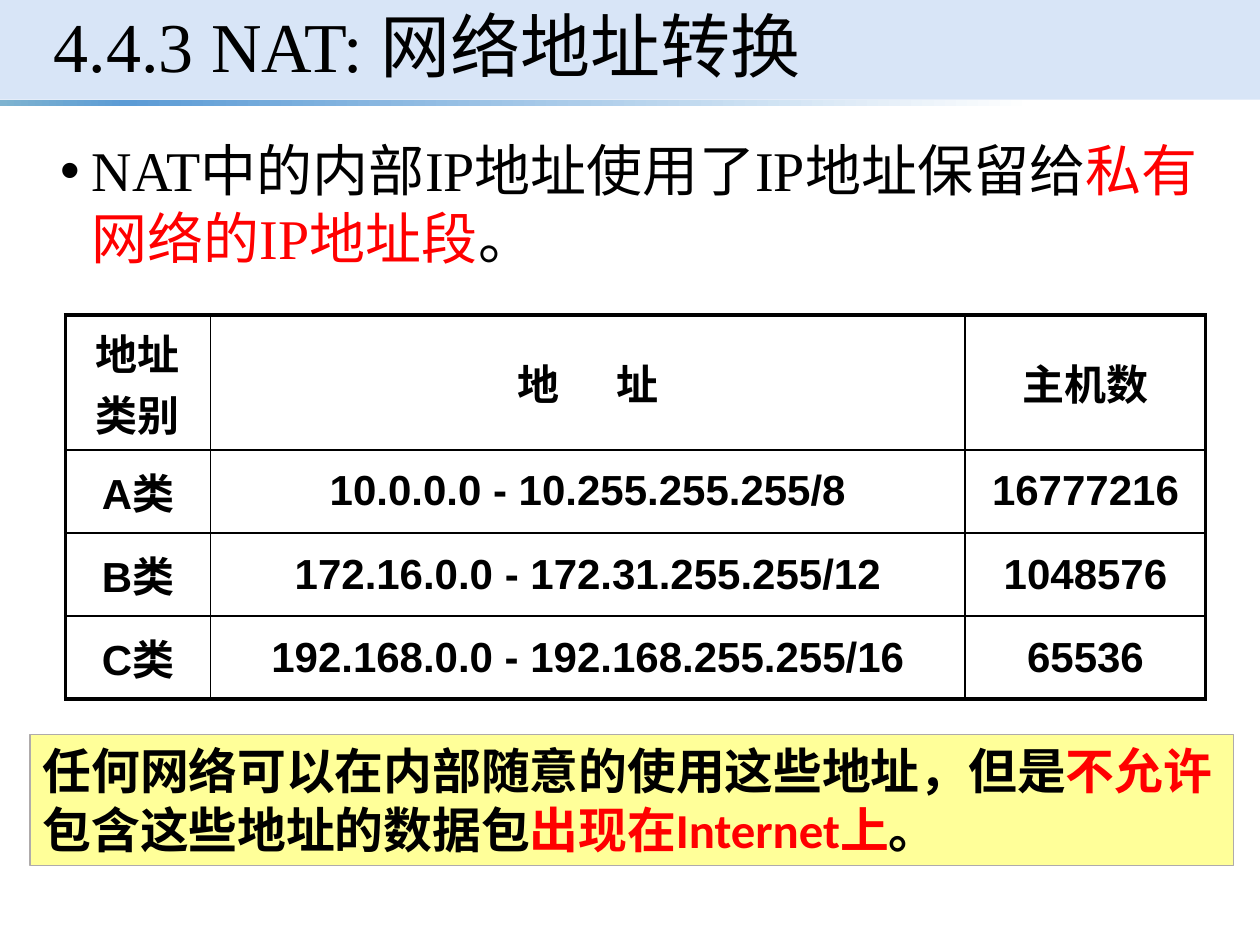
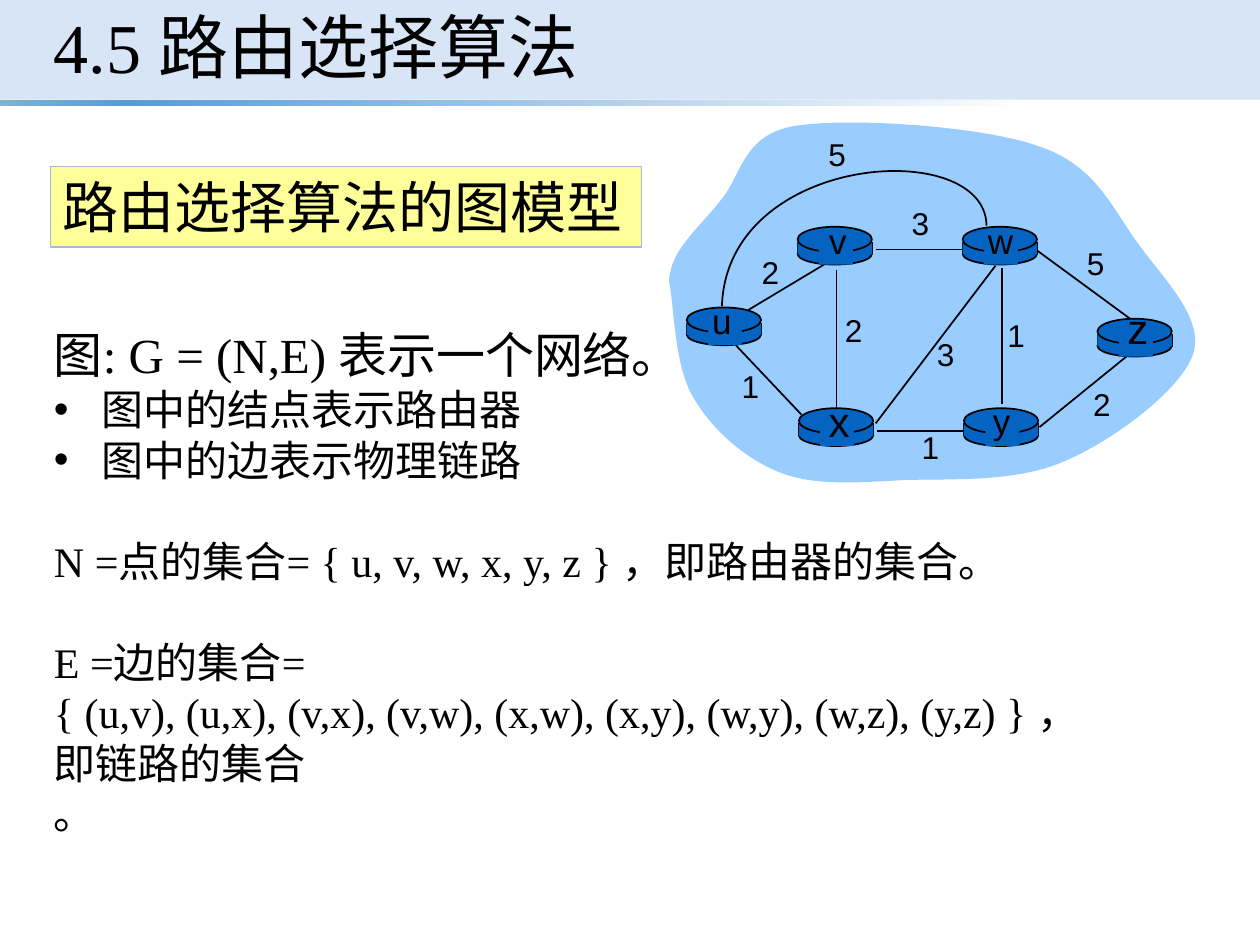
"""Build two lecture slides: private NAT address ranges and the graph model of routing."""
from dataclasses import dataclass

from lxml import etree
from pptx import Presentation
from pptx.dml.color import RGBColor
from pptx.enum.shapes import MSO_CONNECTOR, MSO_SHAPE
from pptx.enum.text import MSO_ANCHOR, PP_ALIGN
from pptx.oxml.ns import qn
from pptx.util import Inches, Pt

RECT, OVAL, STRAIGHT = MSO_SHAPE.RECTANGLE, MSO_SHAPE.OVAL, MSO_CONNECTOR.STRAIGHT
TOP, MIDDLE = MSO_ANCHOR.TOP, MSO_ANCHOR.MIDDLE
LEFT, CENTER = PP_ALIGN.LEFT, PP_ALIGN.CENTER


@dataclass(frozen=True)
class Theme:
    ink: str = "000000"
    accent: str = "FF0000"
    band: str = "C8DAF4"
    note: str = "FFFF99"
    note_line: str = "AFABAB"
    label_line: str = "ADB9CA"
    cloud: str = "99CCFF"
    router: str = "0563C1"
    fade: tuple = ((0, "7EB3D0"), (10, "5B9BD5"), (82, "FFFFFF"), (96, "FFFFFF"))
    serif: str = "Times New Roman"
    sans: str = "Arial"
    note_font: str = "Calibri"
    title: float = 40
    body: float = 32
    lead: float = 28
    note_size: float = 27.9
    text: float = 24
    node: float = 20
    weight: float = 18


THEME = Theme()


def write(frame, *paragraphs, inset=(0.1, 0.05), anchor=TOP, **common):
    frame.word_wrap = True
    frame.vertical_anchor = anchor
    frame.margin_left = frame.margin_right = Inches(inset[0])
    frame.margin_top = frame.margin_bottom = Inches(inset[1])
    base = dict(font=THEME.serif, size=THEME.text, color=THEME.ink, bold=False, align=LEFT,
                spacing=1.0, before=0, bullet=0, tracking=0) | common
    for number, runs in enumerate(paragraphs):
        runs = [(runs, {})] if isinstance(runs, str) else runs
        paragraph = frame.add_paragraph() if number else frame.paragraphs[0]
        look = base | runs[0][1]
        if look["bullet"]:
            properties = paragraph._p.get_or_add_pPr()
            properties.set("marL", str(Inches(look["bullet"])))
            properties.set("indent", str(-Inches(look["bullet"])))
            etree.SubElement(properties, qn("a:buFont"), typeface=THEME.sans)
            etree.SubElement(properties, qn("a:buChar"), char="•")
        paragraph.alignment = look["align"]
        paragraph.line_spacing = look["spacing"]
        if look["before"]:
            paragraph.space_before = Pt(look["before"])
        for words, changes in runs:
            look = base | changes
            run = paragraph.add_run()
            run.text = words
            run.font.name = look["font"]
            run.font.size = Pt(look["size"])
            run.font.bold = look["bold"]
            run.font.color.rgb = RGBColor.from_string(look["color"])
            if look["tracking"]:
                run._r.get_or_add_rPr().set("spc", str(look["tracking"] * 100))


def paint(shape, fill=None, line=None, width=1):
    if hasattr(shape, "fill"):
        shape.shadow.inherit = False
        if fill:
            shape.fill.solid()
            shape.fill.fore_color.rgb = RGBColor.from_string(fill)
        else:
            shape.fill.background()
    if line:
        shape.line.color.rgb = RGBColor.from_string(line)
        shape.line.width = Pt(width)
    else:
        shape.line.fill.background()
    if not hasattr(shape, "fill"):
        etree.SubElement(shape._element.spPr, qn("a:effectLst"))
    return shape


deck = Presentation()
deck.slide_width, deck.slide_height = Inches(10), Inches(7.5)
slides = []
for heading, title_top in (("4.4.3 NAT: 网络地址转换", 0), ("4.5 路由选择算法", 0.01)):
    slide = deck.slides.add_slide(deck.slide_layouts[6])
    band = paint(slide.shapes.add_shape(RECT, 0, 0, Inches(10), Inches(0.79)), THEME.band)
    band_color = band._element.spPr.find(qn("a:solidFill"))[0]
    etree.SubElement(band_color, qn("a:alpha"), val="70000")
    rule = paint(slide.shapes.add_shape(RECT, 0, Inches(0.79), Inches(10), Inches(0.05)))
    rule.fill.gradient()
    rule.fill.gradient_angle = 0
    stops = rule._element.spPr.find(qn("a:gradFill")).find(qn("a:gsLst"))
    for old_stop in list(stops):
        stops.remove(old_stop)
    for position, color in THEME.fade:
        stop = etree.SubElement(stops, qn("a:gs"), pos=str(position * 1000))
        etree.SubElement(stop, qn("a:srgbClr"), val=color)
    title = slide.shapes.add_textbox(Inches(0.33), Inches(title_top), Inches(9.35), Inches(0.79))
    write(title.text_frame, heading, size=THEME.title, anchor=MIDDLE, spacing=0.9)
    slides.append(slide.shapes)
nat, routing = slides
red = {"color": THEME.accent}

intro = nat.add_textbox(Inches(0.38), Inches(1.03), Inches(9.25), Inches(1.2))
write(intro.text_frame,
      [("NAT中的内部IP地址使用了IP地址保留给", {"bullet": 0.25}),
       ("私有网络的IP地址段", red), ("。", {})], size=THEME.body)

wide_gap = [("地", {}), (" ", {"tracking": 27}), ("址", {})]
address_rows = [
    ("地址类别", wide_gap, "主机数"),
    ("A类", "10.0.0.0 - 10.255.255.255/8", "16777216"),
    ("B类", "172.16.0.0 - 172.31.255.255/12", "1048576"),
    ("C类", "192.168.0.0 - 192.168.255.255/16", "65536"),
]
widths, heights = (1.15, 5.99, 1.91), (1.07, 0.66, 0.66, 0.66)
addresses = nat.add_table(4, 3, Inches(0.52), Inches(2.5),
                          Inches(sum(widths)), Inches(sum(heights))).table
addresses.first_row = addresses.horz_banding = False
for column, width in zip(addresses.columns, widths):
    column.width = Inches(width)
for r, (row, height) in enumerate(zip(address_rows, heights)):
    addresses.rows[r].height = Inches(height)
    for c, words in enumerate(row):
        cell = addresses.cell(r, c)
        write(cell.text_frame, words, font=THEME.sans, bold=True, align=CENTER)
        cell.vertical_anchor = MIDDLE
        outer = {"a:lnL": c == 0, "a:lnR": c == 2, "a:lnT": r == 0, "a:lnB": r == 3}
        for side, is_outer in outer.items():
            border = etree.SubElement(cell._tc.get_or_add_tcPr(), qn(side),
                                      w=str(Pt(2.25 if is_outer else 1)))
            etree.SubElement(etree.SubElement(border, qn("a:solidFill")),
                             qn("a:srgbClr"), val=THEME.ink)
        cell.fill.background()

usage_note = paint(nat.add_shape(RECT, Inches(0.24), Inches(5.83), Inches(9.55), Inches(1.04)),
                   THEME.note, THEME.note_line)
write(usage_note.text_frame,
      [("任何网络可以在内部随意的使用这些地址，但是", {}), ("不允许", red),
       ("包含这些地址的数据包", {}), ("出现在Internet上", red), ("。", {})],
      font=THEME.note_font, size=THEME.note_size, bold=True)

cloud_curve = [
    (5.31, 2.23), (5.32, 1.98), (5.56, 1.8), (5.72, 1.59), (5.89, 1.39), (5.89, 1.07),
    (6.31, 1), (6.73, 0.93), (7.79, 1), (8.24, 1.16), (8.7, 1.31), (8.83, 1.66),
    (9.03, 1.93), (9.23, 2.21), (9.56, 2.52), (9.47, 2.81), (9.37, 3.1), (8.83, 3.5),
    (8.45, 3.66), (8.07, 3.83), (7.56, 3.8), (7.19, 3.81), (6.81, 3.83), (6.47, 3.86),
    (6.19, 3.75), (5.91, 3.64), (5.65, 3.41), (5.5, 3.15), (5.35, 2.9), (5.35, 2.42),
    (5.31, 2.23),
]
u_w_curve = [(7.83, 1.79), (7.82, 1.08), (5.77, 1.21), (5.73, 2.43)]
for curve, fill, line in ((cloud_curve, THEME.cloud, None), (u_w_curve, None, THEME.ink)):
    outline = [(Inches(x), Inches(y)) for x, y in curve]
    builder = routing.build_freeform(*outline[0])
    builder.add_line_segments(outline[1:], close=fill is not None)
    bend = paint(builder.convert_to_shape(), fill, line)
    segments = list(bend._element.iter(qn("a:lnTo")))
    for start in range(0, len(segments), 3):
        cubic = etree.Element(qn("a:cubicBezTo"))
        segments[start].addprevious(cubic)
        for segment in segments[start:start + 3]:
            cubic.append(segment[0])
            segment.getparent().remove(segment)

links = [
    (5.94, 2.46, 6.59, 2.07), (7.95, 2.13, 7.95, 3.21), (6.64, 2.14, 6.64, 3.26),
    (6.95, 3.36, 7.9, 2.11), (8.25, 3.39, 8.94, 2.83), (7.65, 3.42, 6.96, 3.42),
    (6.36, 3.29, 5.84, 2.74), (7.64, 1.98, 6.95, 1.98), (8.97, 2.53, 8.22, 1.98),
]
for ends in links:
    paint(routing.add_connector(STRAIGHT, *map(Inches, ends)), line=THEME.ink)

routers = [("u", 5.45, 2.44, THEME.node, 5.73, 2.54), ("x", 6.34, 3.24, THEME.text, 6.66, 3.34),
           ("v", 6.33, 1.8, THEME.node, 6.65, 1.91), ("w", 7.64, 1.8, THEME.node, 7.94, 1.91),
           ("y", 7.65, 3.24, THEME.node, 7.95, 3.34), ("z", 8.71, 2.53, THEME.text, 9.03, 2.6)]
for name, x, y, size, letter_x, letter_y in routers:
    base_box = map(Inches, (x, y + 0.13, 0.59, 0.17))
    paint(routing.add_shape(OVAL, *base_box), THEME.router, THEME.ink)
    for side in (x, x + 0.59):
        edge = map(Inches, (side, y + 0.12, side, y + 0.22))
        paint(routing.add_connector(STRAIGHT, *edge), line=THEME.ink)
    wall = map(Inches, (x, y + 0.12, 0.59, 0.1))
    paint(routing.add_shape(RECT, *wall), THEME.router)
    lid = map(Inches, (x, y, 0.59, 0.2))
    paint(routing.add_shape(OVAL, *lid), THEME.router, THEME.ink)
    patch = map(Inches, (x + 0.17, y + 0.02, 0.27, 0.28))
    paint(routing.add_shape(RECT, *patch), THEME.router)
    letter = routing.add_textbox(*map(Inches, (letter_x - 0.2, letter_y - 0.2, 0.4, 0.4)))
    write(letter.text_frame, name, font=THEME.sans, size=size, align=CENTER,
          inset=(0, 0), anchor=MIDDLE)

weights = [("2", 5.93, 1.96), ("2", 6.59, 2.42), ("1", 5.77, 2.86), ("3", 7.32, 2.61),
           ("1", 7.2, 3.35), ("1", 7.88, 2.46), ("2", 8.56, 3.01), ("5", 8.51, 1.89),
           ("3", 7.12, 1.57), ("5", 6.46, 1.02)]
for cost, x, y in weights:
    weight = routing.add_textbox(*map(Inches, (x, y, 0.37, 0.48)))
    write(weight.text_frame, cost, font=THEME.sans, size=THEME.weight, align=CENTER)

definition = routing.add_textbox(Inches(0.33), Inches(2.53), Inches(9.35), Inches(4.21))
bullet, new_block = {"bullet": 0.38}, {"before": 29}
write(definition.text_frame,
      [("图: G = (N,E) 表示一个网络。", {"size": THEME.lead})],
      [("图中的结点表示路由器", bullet)],
      [("图中的边表示物理链路", bullet)],
      [("N =点的集合= { u, v, w, x, y, z } ，即路由器的集合。", new_block)],
      [("E =边的集合=", new_block)],
      "{ (u,v), (u,x), (v,x), (v,w), (x,w), (x,y), (w,y), (w,z), (y,z) } ，",
      "即链路的集合",
      "。")

model_label = paint(routing.add_shape(RECT, Inches(0.4), Inches(1.32), Inches(4.69), Inches(0.64)),
                    THEME.note, THEME.label_line, 0.75)
write(model_label.text_frame, "路由选择算法的图模型", size=THEME.body)

deck.save("out.pptx")
